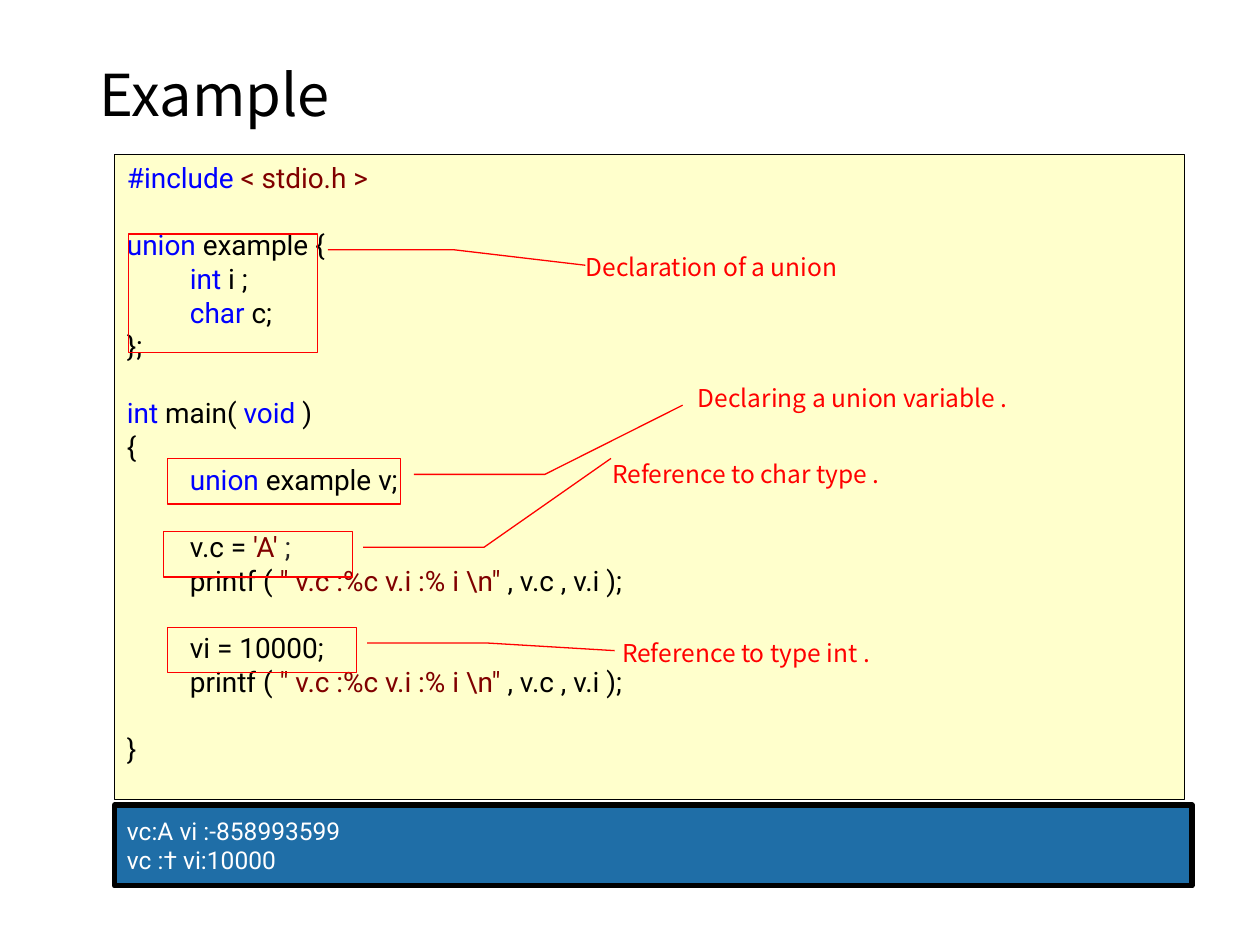
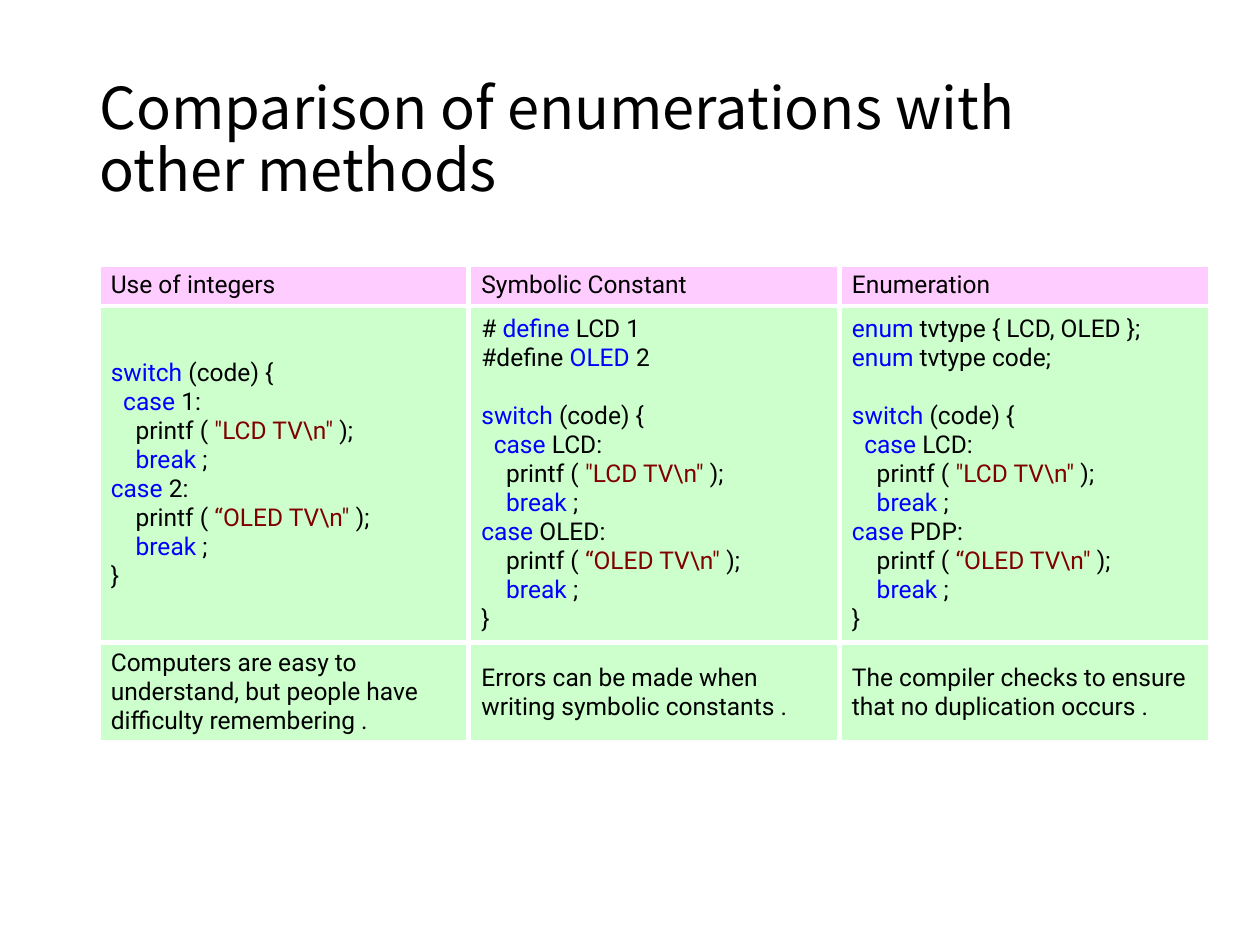
"""Build two lecture slides on unions and enumerations in C."""
from lxml.etree import SubElement
from pptx import Presentation
from pptx.dml.color import RGBColor
from pptx.enum.shapes import MSO_SHAPE as Shape
from pptx.enum.text import MSO_ANCHOR as Anchor, MSO_AUTO_SIZE as AutoSize, PP_ALIGN as Align
from pptx.oxml.ns import qn
from pptx.util import Cm, Pt

BLACK = RGBColor(0x00, 0x00, 0x00)
WHITE = RGBColor(0xFF, 0xFF, 0xFF)
BLUE = RGBColor(0x00, 0x00, 0xFF)
MAROON = RGBColor(0x80, 0x00, 0x00)
RED = RGBColor(0xFF, 0x00, 0x00)
GREY = RGBColor(0x28, 0x28, 0x28)
CODE_FILL = RGBColor(0xFF, 0xFF, 0xCC)
OUTPUT_FILL = RGBColor(0x1F, 0x6E, 0xA7)
HEADER_FILL = RGBColor(0xFF, 0xCC, 0xFF)
BODY_FILL = RGBColor(0xCC, 0xFF, 0xCC)
HEADING_FONT = "Noto Sans CJK KR"
CODE_FONT = "Roboto"
GAP = "gap"


def format_run(run, font_name, size, color):
    run.font.name = font_name
    run.font.size = Pt(size)
    run.font.bold = False
    run.font.color.rgb = color


def write_code(text_frame, lines, size, line_height, indent, align=Align.LEFT):
    paragraph = text_frame.paragraphs[0]
    gap_before = False
    for line in lines:
        if line == GAP:
            gap_before = True
            continue
        level, *parts = line
        if paragraph.runs:
            paragraph = text_frame.add_paragraph()
        paragraph.alignment = align
        paragraph.space_before = Pt(line_height if gap_before else 0)
        properties = paragraph._p.get_or_add_pPr()
        properties.set("marL", str(Cm(level * indent)))
        properties.set("indent", "0")
        for text, color in parts:
            run = paragraph.add_run()
            run.text = text
            format_run(run, CODE_FONT, size, color)
        gap_before = False


presentation = Presentation()
presentation.slide_width = Cm(25.4)
presentation.slide_height = Cm(19.05)

for title_text, title_top in (
    ("Example", 0.13),
    ("Comparison of enumerations with other methods", 1.02),
):
    slide = presentation.slides.add_slide(presentation.slide_layouts[5])
    title = slide.shapes.title
    title.left, title.top, title.width, title.height = Cm(1.75), Cm(title_top), Cm(21.9), Cm(3.68)
    title.text_frame.text = title_text
    title.text_frame.auto_size = AutoSize.NONE
    title.text_frame.vertical_anchor = Anchor.MIDDLE
    paragraph = title.text_frame.paragraphs[0]
    paragraph.alignment = Align.LEFT
    paragraph.line_spacing = 0.9
    format_run(paragraph.runs[0], HEADING_FONT, 33, BLACK)

union_slide, enumeration_slide = presentation.slides

printf_line = (
    1, ("printf ( ", BLACK), (r'" v.c :%c v.i :% i \n" ', MAROON), (", v.c , v.i );", BLACK),
)
union_code = [
    (0, ("#include ", BLUE), ("< stdio.h >", MAROON)),
    GAP,
    (0, ("union ", BLUE), ("example {", BLACK)),
    (1, ("int", BLUE), (" i ;", BLACK)),
    (1, ("char ", BLUE), ("c;", BLACK)),
    (0, ("};", BLACK)),
    GAP,
    (0, ("int ", BLUE), ("main( ", BLACK), ("void ", BLUE), (")", BLACK)),
    (0, ("{", BLACK)),
    (1, ("union ", BLUE), ("example v;", BLACK)),
    GAP,
    (1, ("v.c = ", BLACK), ("'A' ", MAROON), (";", GREY)),
    printf_line,
    GAP,
    (1, ("vi = 10000;", BLACK)),
    printf_line,
    GAP,
    (0, ("}", BLACK)),
]
program_output = [(0, ("vc:A vi :-858993599", WHITE)), (0, ("vc :† vi:10000", WHITE))]

panels = [
    (3.12, 21.56, 13, CODE_FILL, 0.25, Anchor.TOP, union_code, 16, Align.LEFT),
    (16.23, 21.72, 1.63, OUTPUT_FILL, 3, Anchor.MIDDLE, program_output, 14, Align.JUSTIFY),
]
for top, width, height, fill, line_width, anchor, lines, size, align in panels:
    panel = union_slide.shapes.add_shape(Shape.RECTANGLE, Cm(2.31), Cm(top), Cm(width), Cm(height))
    panel.shadow.inherit = False
    panel.fill.solid()
    panel.fill.fore_color.rgb = fill
    panel.line.color.rgb = BLACK
    panel.line.width = Pt(line_width)
    panel.text_frame.word_wrap = True
    panel.text_frame.vertical_anchor = anchor
    write_code(panel.text_frame, lines, size, 19.1, 1.27, align)

callouts = [
    ("Declaration of a union", (11.56, 4.95, 6.15), (2.59, 4.72, 3.81, 2.39),
     (0.132, 1.056, 0.132, 1.72, 0.263, 2.418)),
    ("Declaring a union variable .", (13.82, 7.59, 7.26), (3.38, 9.25, 4.7, 0.91),
     (0.346, 1.056, 0.346, 1.618, -1.188, 2.209)),
    ("Reference to char type .", (12.09, 9.12, 7.26), (3.3, 10.72, 3.81, 0.91),
     (0.346, 1.056, 0.346, 1.695, -1.625, 2.367)),
    ("Reference to type int .", (12.29, 12.73, 7.26), (3.38, 12.65, 3.81, 0.91),
     (0.346, 1.056, 0.346, 1.694, 0.514, 2.365)),
]
for label_text, label_box, callout_box, leader in callouts:
    callout = union_slide.shapes.add_shape(Shape.LINE_CALLOUT_2, *map(Cm, callout_box))
    callout.shadow.inherit = False
    callout.fill.background()
    callout.line.color.rgb = RED
    callout.line.width = Pt(0.75)
    for index, value in enumerate(leader):
        callout.adjustments[index] = value
    label = union_slide.shapes.add_textbox(*map(Cm, label_box), Cm(0.84))
    label.text_frame.word_wrap = True
    label.text_frame.text = label_text
    format_run(label.text_frame.paragraphs[0].runs[0], HEADING_FONT, 14, RED)

columns = [
    ("Use of integers", [], "1:", "2:",
     "Computers are easy to understand, but people have difficulty remembering ."),
    ("Symbolic Constant",
     [(0, ("# ", BLACK), ("define ", BLUE), ("LCD 1", BLACK)),
      (0, ("#define ", BLACK), ("OLED ", BLUE), ("2", BLACK)),
      GAP],
     "LCD:", "OLED:", "Errors can be made when writing symbolic constants ."),
    ("Enumeration",
     [(0, ("enum ", BLUE), ("tvtype { LCD, OLED };", BLACK)),
      (0, ("enum ", BLUE), ("tvtype code;", BLACK)),
      GAP],
     "LCD:", "PDP:", "The compiler checks to ensure that no duplication occurs ."),
]
table = enumeration_slide.shapes.add_table(
    3, len(columns), Cm(1.98), Cm(5.33), Cm(22.41), Cm(9.58)
).table
table.first_row = False
table.horz_banding = False
for row, height in zip(table.rows, (0.84, 6.78, 1.96)):
    row.height = Cm(height)

for column_index, (heading, declarations, first_case, second_case, remark) in enumerate(columns):
    table.columns[column_index].width = Cm(7.47)
    switch_code = [*declarations, (0, ("switch ", BLUE), ("(code) {", BLACK))]
    for level, case, message in (
        (1, first_case, r'"LCD TV\n" '),
        (0, second_case, r'“OLED TV\n" '),
    ):
        switch_code += [
            (level, ("case ", BLUE), (case, BLACK)),
            (2, ("printf ( ", BLACK), (message, MAROON), (");", BLACK)),
            (2, ("break ", BLUE), (";", BLACK)),
        ]
    switch_code.append((0, ("}", BLACK)))
    contents = ([(0, (heading, BLACK))], switch_code, [(0, (remark, BLACK))])
    for row_index, lines in enumerate(contents):
        cell = table.cell(row_index, column_index)
        cell.vertical_anchor = Anchor.MIDDLE
        write_code(cell.text_frame, lines, 14, 16.5, 0.25)
        cell_properties = cell._tc.get_or_add_tcPr()
        for side in ("a:lnL", "a:lnR", "a:lnT", "a:lnB"):
            border = SubElement(cell_properties, qn(side), w=str(Pt(3)))
            border_fill = SubElement(border, qn("a:solidFill"))
            SubElement(border_fill, qn("a:srgbClr"), val=str(WHITE))
        cell.fill.solid()
        cell.fill.fore_color.rgb = HEADER_FILL if row_index == 0 else BODY_FILL

presentation.save("out.pptx")
